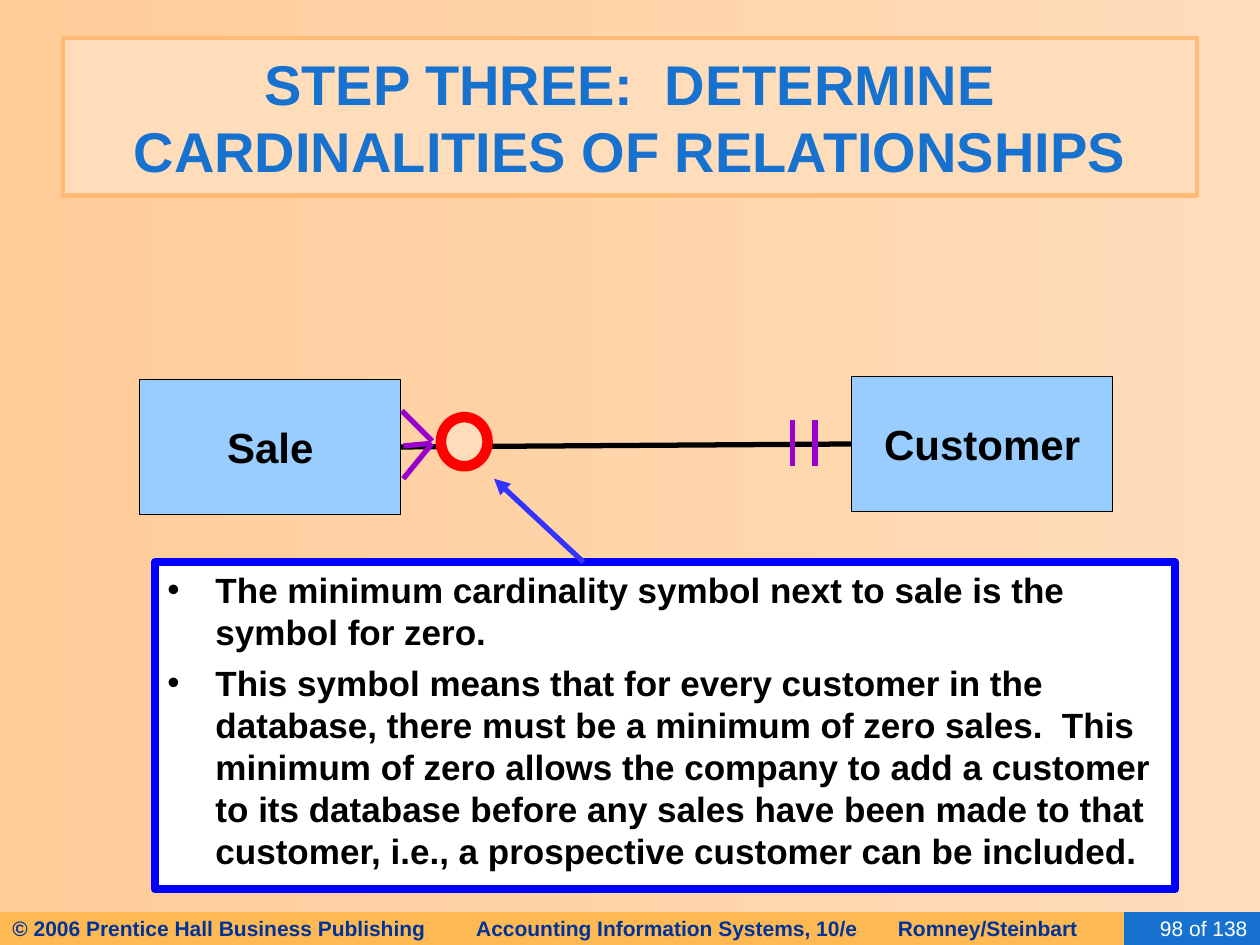
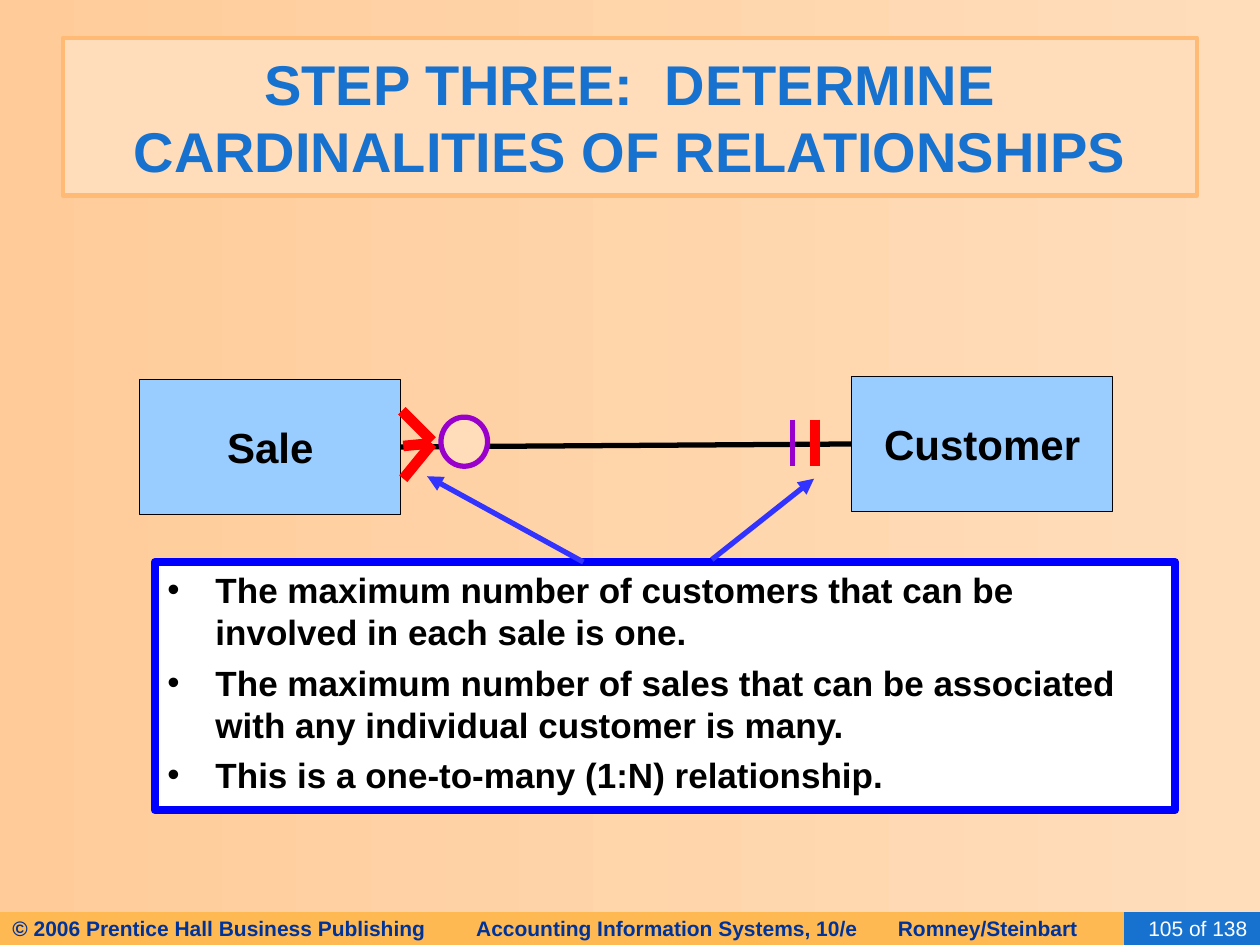
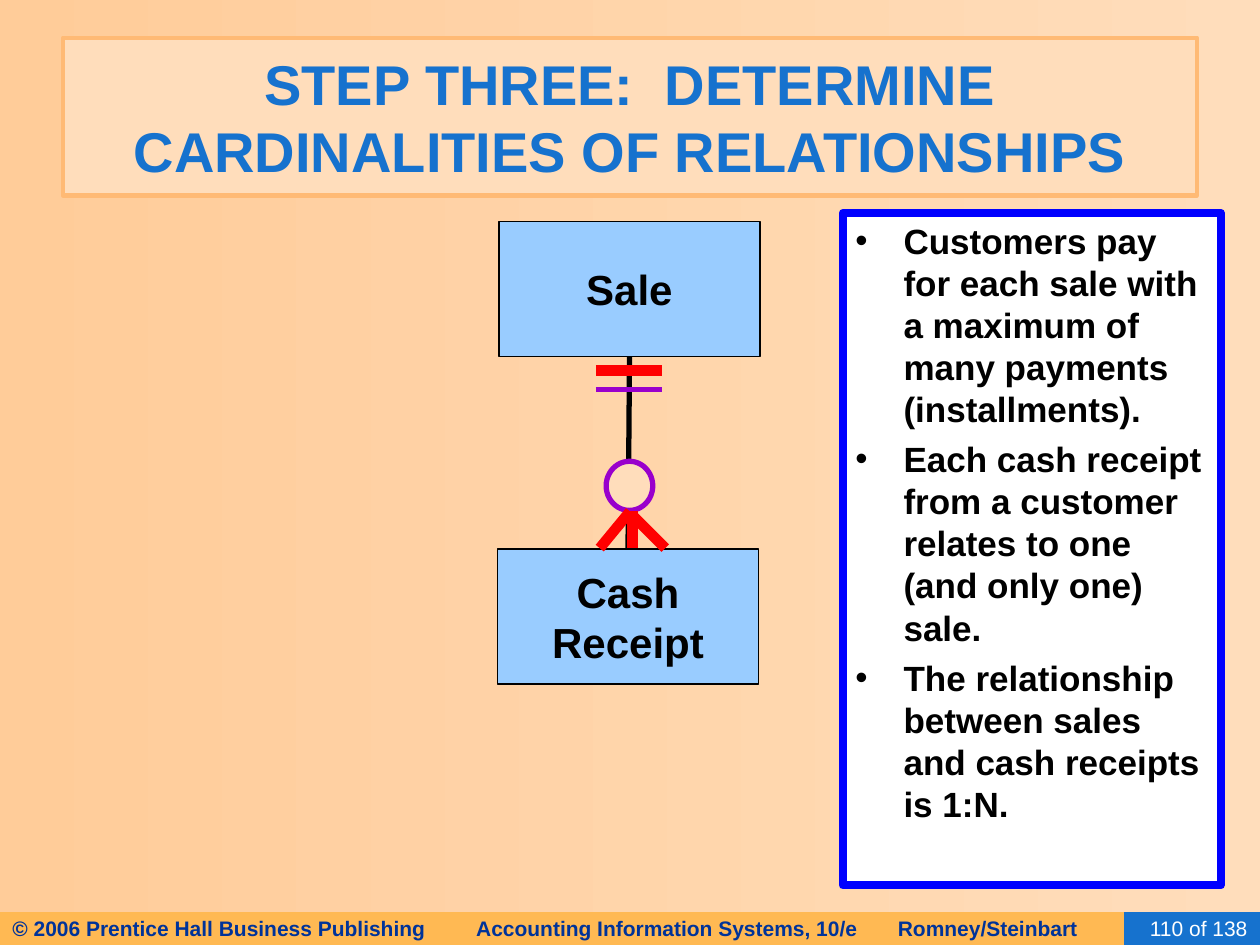
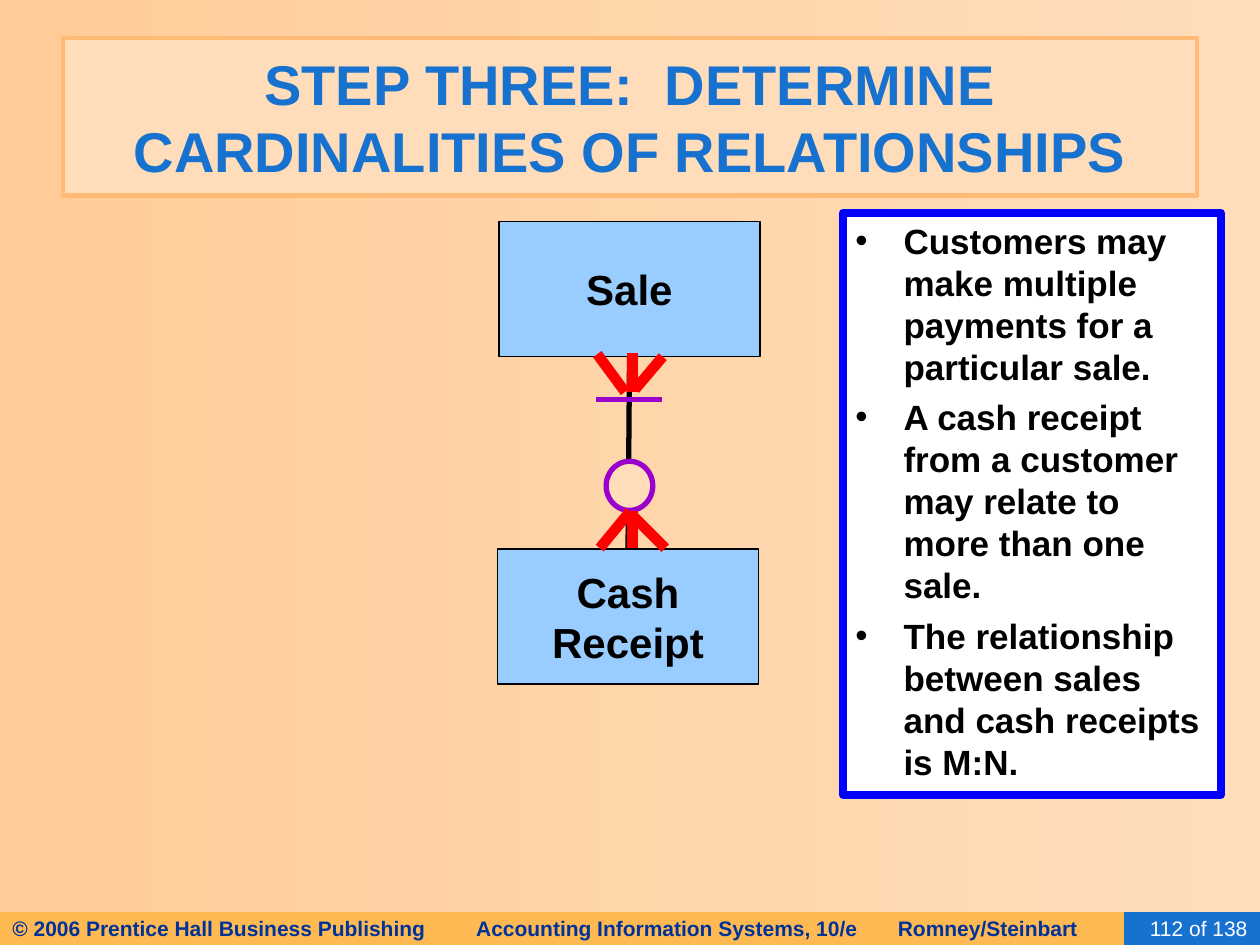
import pptx
import pptx.util
import pptx.dml.color
import pptx.enum.shapes
import pptx.enum.text
import pptx.oxml
import pptx.oxml.ns

Cm = pptx.util.Cm
Pt = pptx.util.Pt
SHAPES = pptx.enum.shapes.MSO_SHAPE
ALIGN = pptx.enum.text.PP_ALIGN
ANCHOR = pptx.enum.text.MSO_ANCHOR

COLORS = {
    "peach": "FFDDBB",
    "apricot": "FFCC99",
    "title_border": "FFBA75",
    "title_text": "1672CE",
    "footer_band": "FFB953",
    "footer_text": "003399",
    "page_band": "1672CE",
    "entity": "99CCFF",
    "notes_border": "0000FF",
    "pointer": "3333FF",
    "symbol": "9900CC",
    "highlight": "FF0000",
    "black": "000000",
    "white": "FFFFFF",
}

TITLE = "STEP THREE:  DETERMINE CARDINALITIES OF RELATIONSHIPS"
FOOTER = "\t".join([
    "© 2006 Prentice Hall Business Publishing",
    "Accounting Information Systems, 10/e",
    "Romney/Steinbart",
])
FOOTER_TABS = (9.35, 17.85)
PAGE_COUNT = 138

PLAIN = ("symbol", 3)
HIGHLIGHT = ("highlight", 6)

ENTITY_SIZE = (5.26, 2.72)
CIRCLE_SIZE = (0.94, 0.99)
NOTES_INDENT = 0.97

SALE_CROW_FOOT = [
    ((8.71, 8.89), (8.1, 8.28)),
    ((8.13, 8.99), (8.66, 8.94)),
    ((8.71, 8.94), (8.13, 9.65)),
]
RECEIPT_CROW_FOOT = [
    ((12.75, 10.31), (12.75, 11.05)),
    ((12.7, 10.31), (12.09, 11.05)),
    ((12.75, 10.39), (13.41, 11.05)),
]
SALE_LOWER_CROW_FOOT = [
    ((12.75, 7.9), (12.75, 7.11)),
    ((12.8, 7.85), (13.36, 7.19)),
    ((12.6, 7.9), (12.04, 7.14)),
]


def color(name):
    return pptx.dml.color.RGBColor.from_string(COLORS[name])


def set_format(target, values):
    for name, value in values.items():
        setattr(target, name, value)


def set_font(para, size, color_name, bold=True):
    set_format(para.font, {"name": "Arial", "size": Pt(size), "bold": bold})
    para.font.color.rgb = color(color_name)


def paint(shape, fill, line=None, width=0):
    shape.fill.solid()
    shape.fill.fore_color.rgb = color(fill)
    if line:
        shape.line.color.rgb = color(line)
        shape.line.width = Pt(width)
    else:
        shape.line.fill.background()


def place(shape, left, top, width, height):
    set_format(shape, {"left": Cm(left), "top": Cm(top),
                       "width": Cm(width), "height": Cm(height)})


def add_tabs(para, positions):
    properties = para._p.get_or_add_pPr()
    tabs = pptx.oxml.parse_xml(
        "<a:tabLst %s/>" % pptx.oxml.ns.nsdecls("a"))
    for position in positions:
        tabs.append(pptx.oxml.parse_xml(
            '<a:tab %s pos="%d" algn="l"/>'
            % (pptx.oxml.ns.nsdecls("a"), Cm(position))))
    properties.append(tabs)


def add_bullet(para):
    properties = para._p.get_or_add_pPr()
    properties.set("marL", str(Cm(NOTES_INDENT)))
    properties.set("indent", str(-Cm(NOTES_INDENT)))
    for tag in ('buFont %s typeface="Arial"', 'buChar %s char="•"'):
        properties.append(pptx.oxml.parse_xml(
            "<a:%s/>" % (tag % pptx.oxml.ns.nsdecls("a"))))


def add_shape(slide, kind, bounds, fill, line=None, width=0):
    left, top, wide, high = map(Cm, bounds)
    shape = slide.shapes.add_shape(kind, left, top, wide, high)
    shape.shadow.inherit = False
    paint(shape, fill, line, width)
    return shape


def write(shape, text, size, color_name, align, bold=True, tabs=()):
    frame = shape.text_frame
    set_format(frame, {"word_wrap": True, "vertical_anchor": ANCHOR.MIDDLE})
    para = frame.paragraphs[0]
    para.text = text
    para.alignment = align
    if tabs:
        add_tabs(para, tabs)
    set_font(para, size, color_name, bold)


def add_line(slide, start, end, color_name, width, arrow=False):
    line = slide.shapes.add_connector(
        pptx.enum.shapes.MSO_CONNECTOR.STRAIGHT,
        *map(Cm, (*start, *end)))
    line.line.color.rgb = color(color_name)
    line.line.width = Pt(width)
    properties = line._element.spPr
    if arrow:
        properties.get_or_add_ln().append(pptx.oxml.parse_xml(
            '<a:tailEnd %s type="triangle"/>' % pptx.oxml.ns.nsdecls("a")))
    properties.append(pptx.oxml.parse_xml(
        "<a:effectLst %s/>" % pptx.oxml.ns.nsdecls("a")))
    return line


def add_strokes(slide, strokes, style):
    for start, end in strokes:
        add_line(slide, start, end, *style)


def add_pointer(slide, start, end):
    add_line(slide, start, end, "pointer", 3, arrow=True)


def add_entity(slide, name, left, top):
    box = add_shape(slide, SHAPES.RECTANGLE, (left, top, *ENTITY_SIZE),
                    "entity", "black", 0.75)
    write(box, name, 24, "black", ALIGN.CENTER)
    return box


def add_relationship(slide, first, first_side, second, second_side):
    line = add_line(slide, (0, 0), (1, 1), "black", 3)
    line.begin_connect(first, first_side)
    line.end_connect(second, second_side)


def add_zero(slide, left, top, style):
    add_shape(slide, SHAPES.OVAL, (left, top, *CIRCLE_SIZE), "peach", *style)


def add_notes(slide, bounds, points):
    body = slide.placeholders[1]
    place(body, *bounds)
    paint(body, "white", "notes_border", 4.5)
    frame = body.text_frame
    set_format(frame, {"word_wrap": True, "vertical_anchor": ANCHOR.TOP,
                       "auto_size": pptx.enum.text.MSO_AUTO_SIZE.NONE})
    for index, point in enumerate(points):
        para = frame.add_paragraph() if index else frame.paragraphs[0]
        para.text = point
        para.space_before = Pt(5 if index else 0)
        add_bullet(para)
        set_font(para, 20, "black")


def set_background(deck):
    fill = deck.slide_master.background.fill
    fill.gradient()
    fill.gradient_angle = 180
    for stop, name in zip(fill.gradient_stops, ("peach", "apricot")):
        stop.color.rgb = color(name)


def add_slide(deck, page):
    slide = deck.slides.add_slide(deck.slide_layouts[1])
    footer = add_shape(slide, SHAPES.RECTANGLE, (0, 18.39, 23.5, 0.66),
                       "footer_band")
    write(footer, FOOTER, 12, "footer_text", ALIGN.LEFT, tabs=FOOTER_TABS)
    number = add_shape(slide, SHAPES.RECTANGLE, (22.66, 18.39, 2.74, 0.66),
                       "page_band")
    write(number, f"{page} of {PAGE_COUNT}", 12, "white", ALIGN.RIGHT,
          bold=False)
    title = slide.shapes.title
    place(title, 1.27, 0.76, 22.86, 3.18)
    paint(title, "peach", "title_border", 2.5)
    write(title, TITLE, 32, "title_text", ALIGN.CENTER)
    title.text_frame.auto_size = pptx.enum.text.MSO_AUTO_SIZE.NONE
    return slide


def add_customer_slide(deck, page, maximum, minimum, notes_height, points,
                       pointers):
    slide = add_slide(deck, page)
    add_notes(slide, (3.12, 11.33, 20.57, notes_height), points)
    sale = add_entity(slide, "Sale", 2.82, 7.65)
    customer = add_entity(slide, "Customer", 17.17, 7.59)
    add_relationship(slide, sale, 3, customer, 1)
    for x, style in ((15.98, PLAIN), (16.43, maximum)):
        add_strokes(slide, [((x, 8.46), (x, 9.4))], style)
    add_strokes(slide, SALE_CROW_FOOT, maximum)
    add_zero(slide, 8.89, 8.41, minimum)
    for start, end in pointers:
        add_pointer(slide, start, end)


def add_receipt_slide(deck, page, bars, crow_feet, notes_height, points):
    slide = add_slide(deck, page)
    add_notes(slide, (16.99, 4.29, 7.62, notes_height), points)
    receipt = add_entity(slide, "Cash Receipt", 10.03, 11.07)
    sale = add_entity(slide, "Sale", 10.06, 4.47)
    add_relationship(slide, sale, 2, receipt, 0)
    add_zero(slide, 12.22, 9.3, PLAIN)
    for y, style in bars:
        add_strokes(slide, [((12.01, y), (13.34, y))], style)
    for crow_foot in crow_feet:
        add_strokes(slide, crow_foot, HIGHLIGHT)


def main():
    deck = pptx.Presentation()
    set_format(deck, {"slide_width": Cm(25.4), "slide_height": Cm(19.05)})
    set_background(deck)

    add_customer_slide(deck, 98, PLAIN, HIGHLIGHT, 6.6, [
        "The minimum cardinality symbol next to sale is the symbol for zero.",
        "This symbol means that for every customer in the database, there "
        "must be a minimum of zero sales.  This minimum of zero allows the "
        "company to add a customer to its database before any sales have "
        "been made to that customer, i.e., a prospective customer can be "
        "included.",
    ], [((11.76, 11.33), (9.96, 9.65))])

    add_customer_slide(deck, 105, HIGHLIGHT, PLAIN, 5, [
        "The maximum number of customers that can be involved in each sale "
        "is one.",
        "The maximum number of sales that can be associated with any "
        "individual customer is many.",
        "This is a one-to-many (1:N) relationship.",
    ], [((11.76, 11.33), (8.61, 9.6)), ((14.35, 11.28), (16.41, 9.65))])

    add_receipt_slide(
        deck, 110, [(7.47, HIGHLIGHT), (7.85, PLAIN)], [RECEIPT_CROW_FOOT],
        13.56, [
            "Customers pay for each sale with a maximum of many payments "
            "(installments).",
            "Each cash receipt from a customer relates to one (and only one) "
            "sale.",
            "The relationship between sales and cash receipts is 1:N.",
        ])

    add_receipt_slide(
        deck, 112, [(8.05, PLAIN)], [SALE_LOWER_CROW_FOOT, RECEIPT_CROW_FOOT],
        11.73, [
            "Customers may make multiple payments for a particular sale.",
            "A cash receipt from a customer may relate to more than one sale.",
            "The relationship between sales and cash receipts is M:N.",
        ])

    deck.save("out.pptx")


if __name__ == "__main__":
    main()
